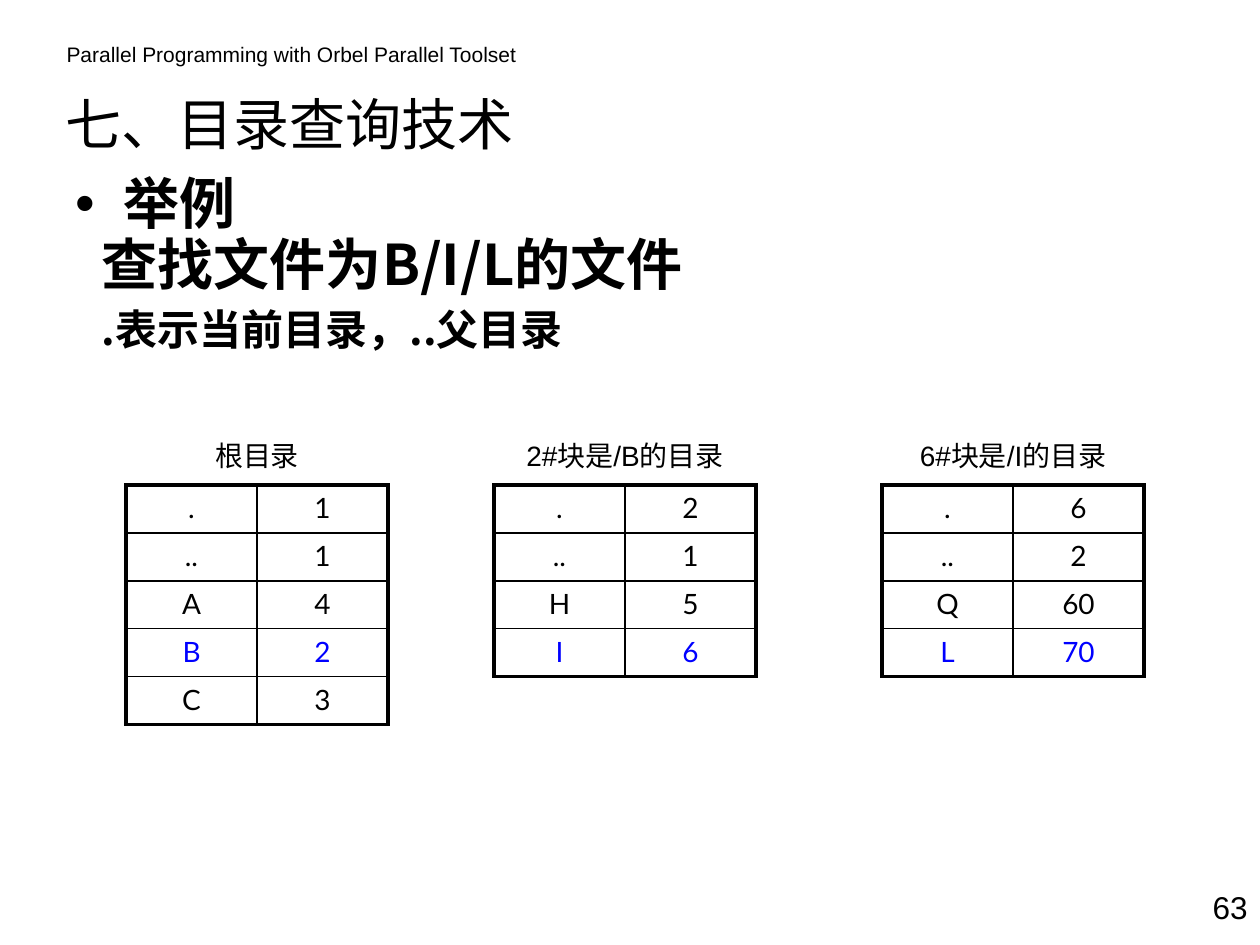
from dataclasses import dataclass

from lxml import etree
from pptx import Presentation
from pptx.dml.color import RGBColor
from pptx.enum import text
from pptx.oxml import ns
from pptx.util import Inches, Pt


@dataclass(frozen=True)
class Theme:
    black: RGBColor = RGBColor(0, 0, 0)
    blue: RGBColor = RGBColor(0, 0, 255)
    latin: str = "Arial"
    chinese: str = "Noto Sans CJK SC"
    cell: str = "Lato"
    header_size: int = 12
    label_size: int = 16
    number_size: int = 18
    note_size: int = 24
    title_size: int = 32
    outer_line: float = 2.25
    inner_line: float = 1


THEME = Theme()
ALIGN = text.PP_ALIGN


def add_run(paragraph, content, size, font, color=THEME.black, bold=False):
    run = paragraph.add_run()
    run.text = content
    run.font.size, run.font.name, run.font.bold = Pt(size), font, bold
    run.font.color.rgb = color
    east_asian = etree.SubElement(run._r.get_or_add_rPr(), ns.qn("a:ea"))
    east_asian.set("typeface", THEME.chinese)


def add_text_frame(slide, left, top, width, height):
    shape = slide.shapes.add_textbox(Inches(left), Inches(top), Inches(width), Inches(height))
    shape.text_frame.word_wrap = True
    return shape.text_frame


def add_line(slide, box, content, size, font, align=ALIGN.LEFT, middle=False):
    frame = add_text_frame(slide, *box)
    if middle:
        frame.vertical_anchor = text.MSO_ANCHOR.MIDDLE
    paragraph = frame.paragraphs[0]
    paragraph.alignment = align
    add_run(paragraph, content, size, font)


def add_body(slide, box):
    """The bulleted example and its two indented lines."""
    lines = [
        ("举例", THEME.title_size, 0.38, -0.38, 0),
        ("查找文件为B/I/L的文件", THEME.title_size, 0.21, 0, 0),
        (".表示当前目录，..父目录", THEME.note_size, 0.21, 0, 7),
    ]
    frame = add_text_frame(slide, *box)
    for index, (content, size, margin, indent, before) in enumerate(lines):
        paragraph = frame.add_paragraph() if index else frame.paragraphs[0]
        properties = paragraph._p.get_or_add_pPr()
        properties.set("marL", str(Inches(margin)))
        properties.set("indent", str(Inches(indent)))
        if indent:
            font = etree.SubElement(properties, ns.qn("a:buFont"))
            font.set("typeface", THEME.latin)
            etree.SubElement(properties, ns.qn("a:buChar")).set("char", "•")
        paragraph.line_spacing = 0.9
        paragraph.space_before = Pt(before)
        add_run(paragraph, content, size, THEME.chinese, bold=True)


def set_border(cell, side, width):
    line = etree.SubElement(cell._tc.get_or_add_tcPr(), ns.qn(f"a:ln{side}"))
    line.set("w", str(Pt(width)))
    fill = etree.SubElement(line, ns.qn("a:solidFill"))
    etree.SubElement(fill, ns.qn("a:srgbClr")).set("val", str(THEME.black))


def add_directory(slide, box, label, rows, found):
    """A label over a two-column table; the found entry is blue."""
    left, top, width, row_height = box
    add_line(slide, (left, top, width, 0.37), label, THEME.label_size, THEME.latin, ALIGN.CENTER)
    frame = slide.shapes.add_table(
        len(rows), 2, Inches(left), Inches(top + 0.42),
        Inches(width), Inches(row_height * len(rows)))
    table = frame.table
    table.first_row = table.horz_banding = False
    last_row, last_column = len(rows) - 1, 1
    for r, values in enumerate(rows):
        color = THEME.blue if values[0] == found else THEME.black
        for c, value in enumerate(values):
            cell = table.cell(r, c)
            outer = {"L": c == 0, "R": c == last_column, "T": r == 0, "B": r == last_row}
            for side, is_outer in outer.items():
                set_border(cell, side, THEME.outer_line if is_outer else THEME.inner_line)
            cell.fill.background()
            cell.vertical_anchor = text.MSO_ANCHOR.TOP
            paragraph = cell.text_frame.paragraphs[0]
            paragraph.alignment = ALIGN.CENTER
            add_run(paragraph, value, THEME.label_size, THEME.cell, color)


def main():
    presentation = Presentation()
    presentation.slide_width, presentation.slide_height = Inches(10), Inches(7.5)
    slide = presentation.slides.add_slide(presentation.slide_layouts[6])

    # Header, title and body
    add_line(slide, (0.43, 0.28, 4.1, 0.3), "Parallel Programming with Orbel Parallel Toolset",
             THEME.header_size, THEME.latin)
    add_line(slide, (0.42, 0.6, 5.67, 0.75), "七、目录查询技术",
             THEME.title_size, THEME.chinese, middle=True)
    add_body(slide, (0.5, 1.35, 9.33, 1.75))

    # Directory tables
    directories = [
        (1, "根目录", [(".", "1"), ("..", "1"), ("A", "4"), ("B", "2"), ("C", "3")], "B"),
        (3.92, "2#块是/B的目录", [(".", "2"), ("..", "1"), ("H", "5"), ("I", "6")], "I"),
        (7, "6#块是/I的目录", [(".", "6"), ("..", "2"), ("Q", "60"), ("L", "70")], "L"),
    ]
    for left, label, rows, found in directories:
        add_directory(slide, (left, 3.43, 2.08, 0.38), label, rows, found)

    # Slide number
    add_line(slide, (9.33, 7, 0.67, 0.5), "63", THEME.number_size, THEME.latin, ALIGN.RIGHT)
    presentation.save("out.pptx")


if __name__ == "__main__":
    main()
